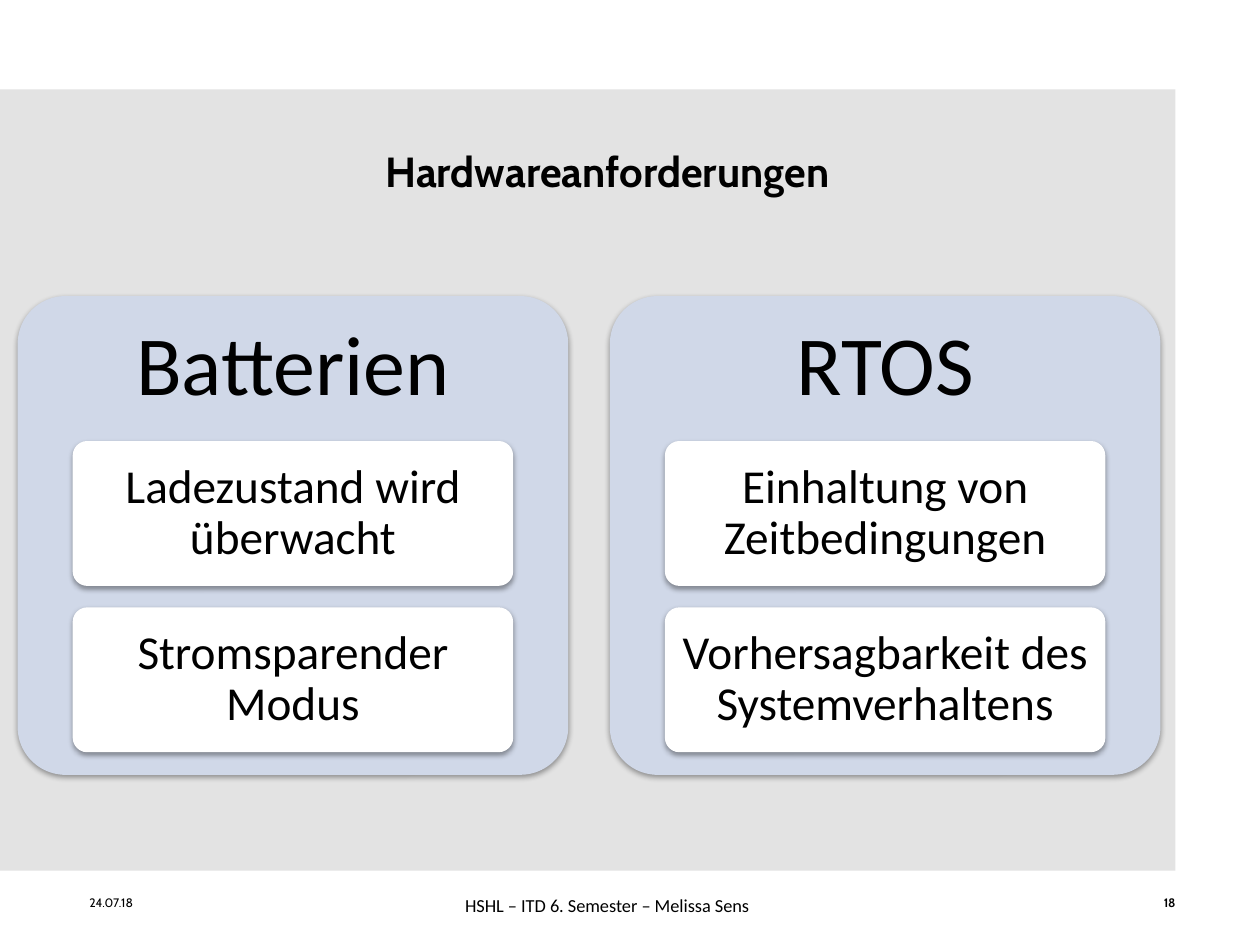
import pptx
import pptx.dml.color
import pptx.enum.shapes
import pptx.enum.text
import pptx.util
from lxml import etree

COLOURS = {"backdrop": "E3E3E3", "panel": "D0D8E8", "card": "FFFFFF", "text": "000000"}
COLUMNS, ROWS = 100, 75
DRAWING = "http://schemas.openxmlformats.org/drawingml/2006/main"
SHAPES = pptx.enum.shapes.MSO_SHAPE
ALIGN = pptx.enum.text.PP_ALIGN


class SlideBuilder:
    """Holds the style and the current slide; lengths are grid columns and rows."""

    def __init__(self, deck):
        self.page = deck.slides.add_slide(deck.slide_layouts[6])
        self.column = deck.slide_width / COLUMNS
        self.row = deck.slide_height / ROWS

    def place(self, left, top, width, height):
        return (round(left * self.column), round(top * self.row),
                round(width * self.column), round(height * self.row))

    def block(self, area, colour, rounded=False):
        kind = SHAPES.ROUNDED_RECTANGLE if rounded else SHAPES.RECTANGLE
        shape = self.page.shapes.add_shape(kind, *self.place(*area))
        shape.fill.solid()
        shape.fill.fore_color.rgb = pptx.dml.color.RGBColor.from_string(COLOURS[colour])
        shape.line.fill.background()
        shape.shadow.inherit = False
        if rounded:
            shape.adjustments[0] = 0.1
            self.drop_shadow(shape)
        return shape

    def drop_shadow(self, shape):
        effects = shape._element.spPr.find(f"{{{DRAWING}}}effectLst")
        shadow = etree.SubElement(
            effects, f"{{{DRAWING}}}outerShdw", blurRad=str(pptx.util.Pt(3.1)),
            dist=str(pptx.util.Pt(1.6)), dir="5400000", rotWithShape="0")
        colour = etree.SubElement(shadow, f"{{{DRAWING}}}srgbClr", val=COLOURS["text"])
        etree.SubElement(colour, f"{{{DRAWING}}}alpha", val="38000")

    def set_text(self, shape, text, size, font="Calibri", bold=False, align=ALIGN.CENTER,
                 insets=(0.1, 0.05), spacing=None, wrap=True):
        frame = shape.text_frame
        frame.word_wrap = wrap
        frame.vertical_anchor = pptx.enum.text.MSO_ANCHOR.MIDDLE
        frame.margin_left = frame.margin_right = pptx.util.Inches(insets[0])
        frame.margin_top = frame.margin_bottom = pptx.util.Inches(insets[1])
        para = frame.paragraphs[0]
        para.alignment = align
        if spacing:
            para.line_spacing = spacing
        span = para.add_run()
        span.text = text
        span.font.name = font
        span.font.size = pptx.util.Pt(size)
        span.font.bold = bold
        span.font.color.rgb = pptx.dml.color.RGBColor.from_string(COLOURS["text"])

    def label(self, area, text, size, **style):
        box = self.page.shapes.add_textbox(*self.place(*area))
        self.set_text(box, text, size, **style)

    def panel(self, left, top, heading, cards):
        width = 43.7
        self.block((left, top, width, 38), "panel", rounded=True)
        self.label((left, top, width, 11.4), heading, 48, insets=(0.2, 0.2), spacing=0.9)
        for index, text in enumerate(cards):
            area = (left + width * 0.1, top + 11.5 + index * 13.2, width * 0.8, 11.5)
            card = self.block(area, "card", rounded=True)
            self.set_text(card, text, 27, insets=(0.07, 0.06), spacing=0.9)


def main():
    deck = pptx.Presentation()
    deck.slide_width = pptx.util.Inches(10)
    deck.slide_height = pptx.util.Inches(7.5)
    slide = SlideBuilder(deck)

    # Backdrop and title
    slide.block((0, 7.1, 93.3, 62), "backdrop")
    slide.label((7.1, 8.4, 82.2, 10.3), "Hardwareanforderungen", 24, font="Cabin", bold=True)

    # Requirement panels
    panels = {
        "Batterien": ["Ladezustand wird überwacht", "Stromsparender Modus"],
        "RTOS": ["Einhaltung von Zeitbedingungen", "Vorhersagbarkeit des Systemverhaltens"],
    }
    for index, (heading, cards) in enumerate(panels.items()):
        slide.panel(1.4 + index * 47, 23.5, heading, cards)

    # Footer: date, author, page number
    small = {"font": "Cabin", "insets": (0, 0)}
    slide.label((7.1, 71, 23.3, 1.2), "24.07.18", 7, align=ALIGN.LEFT, **small)
    slide.label((35.7, 70.4, 25, 2.8), "HSHL – ITD 6. Semester – Melissa Sens", 10.5, wrap=False)
    slide.label((70, 71, 23.3, 1.2), "18", 7, bold=True, align=ALIGN.RIGHT, **small)

    deck.save("out.pptx")


if __name__ == "__main__":
    main()
